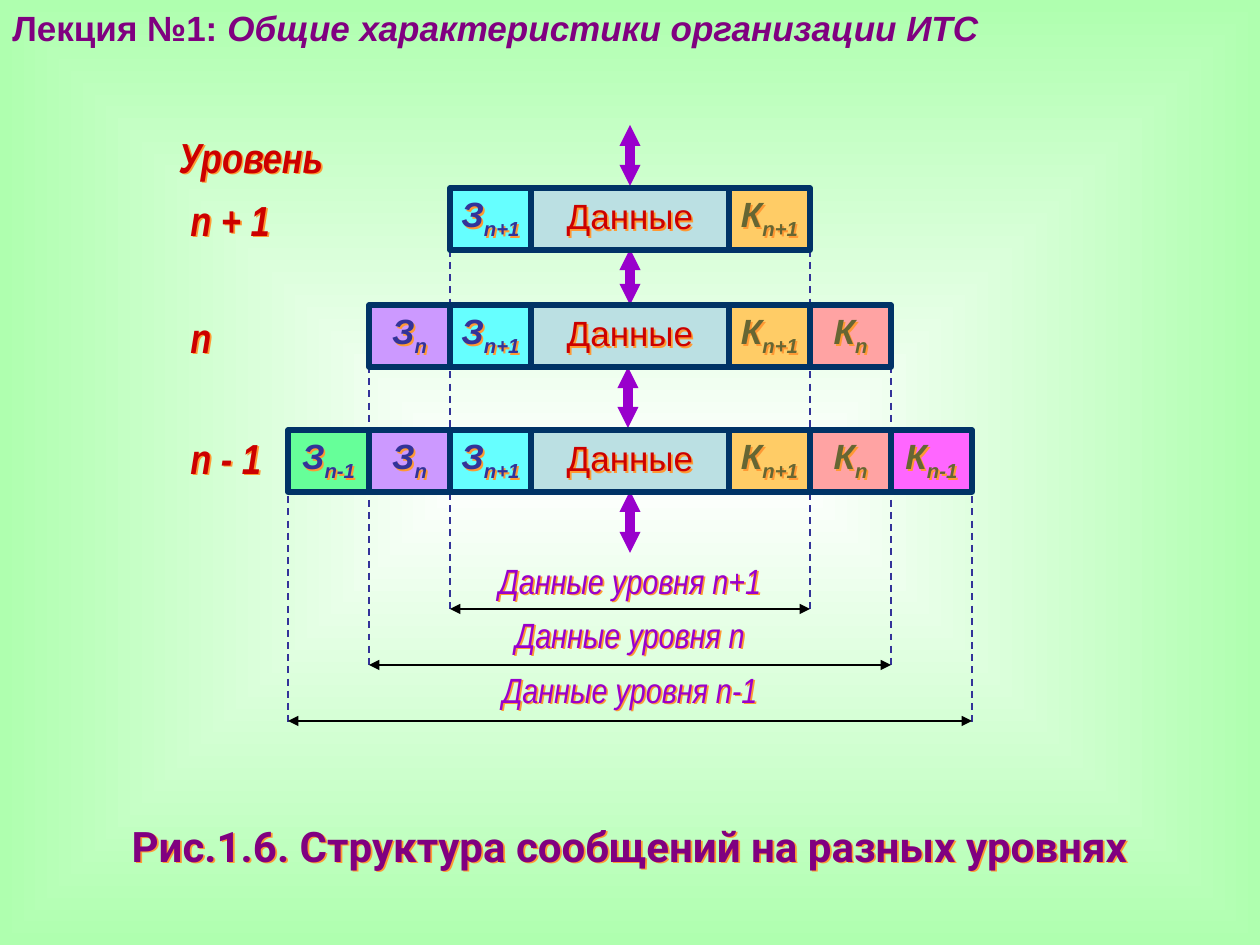
from lxml.etree import SubElement
from pptx import Presentation
from pptx.dml.color import RGBColor
from pptx.enum.dml import MSO_LINE
from pptx.enum.shapes import MSO_CONNECTOR, MSO_SHAPE
from pptx.enum.text import PP_ALIGN
from pptx.oxml import parse_xml
from pptx.oxml.ns import nsdecls, qn
from pptx.util import Emu, Pt

SCALE = 914400 / 126
EDGES = [288, 369, 450, 531, 729, 810, 891, 972]
CELL_HEIGHT = 62
CELLS = [
    ("З", "n-1", "66FF99"),
    ("З", "n", "CC99FF"),
    ("З", "n+1", "66FFFF"),
    ("Данные", "", "BBE0E3"),
    ("К", "n+1", "FFCC66"),
    ("К", "n", "FFA3A3"),
    ("К", "n-1", "FF66FF"),
]
LETTER_COLORS = {"З": "333399", "К": "666633"}
LEVELS = [(188, 2), (305, 1), (430, 0)]
EXCHANGES = [(630, 125, 186), (630, 249, 305), (628, 367, 428), (630, 491, 553)]
SPANS = [
    ("Данные уровня n+1", 2, 250, 614, 609, 553, 1.0),
    ("Данные уровня n", 1, 354, 665, 665, 615, 0.8),
    ("Данные уровня n-1", 0, 472, 724, 721, 670, 0.8),
]
LABELS = [
    ("Уровень", 146, 125, 210, PP_ALIGN.CENTER),
    ("n + 1", 178, 188, 118, PP_ALIGN.LEFT),
    ("n", 178, 305, 88, PP_ALIGN.LEFT),
    ("n - 1", 178, 426, 106, PP_ALIGN.LEFT),
]


def px(value):
    return Emu(round(value * SCALE))


def color(value):
    return RGBColor.from_string(value)


def set_background(slide):
    fill = slide.background.fill
    fill.gradient()
    for stop, value in zip(fill.gradient_stops, ("FFFFFF", "AFFFAF")):
        stop.color.rgb = color(value)
    linear = slide.element.xpath(".//a:gradFill/a:lin")[0]
    center = parse_xml(
        f'<a:path {nsdecls("a")} path="shape">'
        '<a:fillToRect l="50000" t="50000" r="50000" b="50000"/></a:path>'
    )
    linear.getparent().replace(linear, center)


def add_text(slide, runs, box, size, font_name, text_color, bold=False, italic=False,
             align=PP_ALIGN.LEFT, spacing=None, inset=True, shadow=True):
    shape = slide.shapes.add_textbox(*map(px, box))
    frame = shape.text_frame
    frame.word_wrap = True
    if not inset:
        frame.margin_left = frame.margin_right = frame.margin_top = frame.margin_bottom = 0
    if shadow:
        shape.element.spPr.append(parse_xml(
            f'<a:effectLst {nsdecls("a")}><a:outerShdw dist="17961" dir="2700000" algn="ctr" '
            'rotWithShape="0"><a:srgbClr val="FF9933"/></a:outerShdw></a:effectLst>'
        ))
    paragraph = frame.paragraphs[0]
    paragraph.alignment = align
    if spacing:
        paragraph.line_spacing = spacing
    font = paragraph.font
    font.name, font.size = font_name, Pt(size)
    font.bold, font.italic = bold, italic
    font.color.rgb = color(text_color)
    for text in runs:
        paragraph.add_run().text = text
    return paragraph


def add_line(slide, start, end, line_color, width, dashed=False, head_size=None):
    connector = slide.shapes.add_connector(
        MSO_CONNECTOR.STRAIGHT, *map(px, (*start, *end)))
    line = connector.line
    line.color.rgb = color(line_color)
    line.width = Pt(width)
    if dashed:
        line.dash_style = MSO_LINE.DASH
    if head_size:
        for tag in ("a:headEnd", "a:tailEnd"):
            SubElement(line._get_or_add_ln(), qn(tag), type="triangle", w=head_size, len=head_size)
    SubElement(connector.element.spPr, qn("a:effectLst"))


def add_cell(slide, index, top):
    letter, level, fill_color = CELLS[index]
    left, width = EDGES[index], EDGES[index + 1] - EDGES[index]
    cell = slide.shapes.add_shape(
        MSO_SHAPE.RECTANGLE, *map(px, (left, top, width, CELL_HEIGHT)))
    cell.shadow.inherit = False
    cell.fill.solid()
    cell.fill.fore_color.rgb = color(fill_color)
    cell.line.color.rgb = color("003366")
    cell.line.width = Pt(3)
    if level:
        paragraph = add_text(slide, [letter, level], (left, top + 5, width, 50), 20, "Arial",
                             LETTER_COLORS[letter], bold=True, italic=True,
                             align=PP_ALIGN.CENTER, inset=False)
        paragraph.runs[1].font._element.set("baseline", "-25000")
    else:
        add_text(slide, [letter], (left + 18, top + 5, width - 36, 52), 20, "Arial", "CC0000",
                 align=PP_ALIGN.CENTER, spacing=0.9)


def add_span(slide, text, first, guide_top, guide_bottom, arrow_y, text_top, spacing):
    left, right = EDGES[first], EDGES[-1 - first]
    for x in (left, right):
        add_line(slide, (x, guide_top), (x, guide_bottom), "333399", 1, dashed=True)
    add_line(slide, (right, arrow_y), (left, arrow_y), "000000", 1.5, head_size="med")
    add_text(slide, [text], (458, text_top, 344, 48), 20, "Arial Narrow", "9900CC",
             italic=True, align=PP_ALIGN.CENTER, spacing=spacing)


def main():
    presentation = Presentation()
    presentation.slide_width, presentation.slide_height = px(1260), px(945)
    slide = presentation.slides.add_slide(presentation.slide_layouts[6])
    set_background(slide)
    title = add_text(slide, ["Лекция №1: ", "Общие характеристики организации ИТС"],
                     (0, 0, 1022, 54), 20, "Arial", "800080", bold=True, shadow=False)
    title.runs[1].font.italic = True
    for span in SPANS:
        add_span(slide, *span)
    for x, top, bottom in EXCHANGES:
        add_line(slide, (x, bottom), (x, top), "9900CC", 6, head_size="sm")
    for text, left, top, width, align in LABELS:
        add_text(slide, [text], (left, top, width, 64), 24, "Arial Narrow", "CC0000",
                 bold=True, italic=True, align=align)
    for top, first in LEVELS:
        for index in range(first, len(CELLS) - first):
            add_cell(slide, index, top)
    add_text(slide, ["Рис.1.6. Структура сообщений на разных уровнях"], (84, 814, 1091, 115),
             24, "Roboto", "800080", bold=True, align=PP_ALIGN.CENTER)
    presentation.save("out.pptx")


if __name__ == "__main__":
    main()
